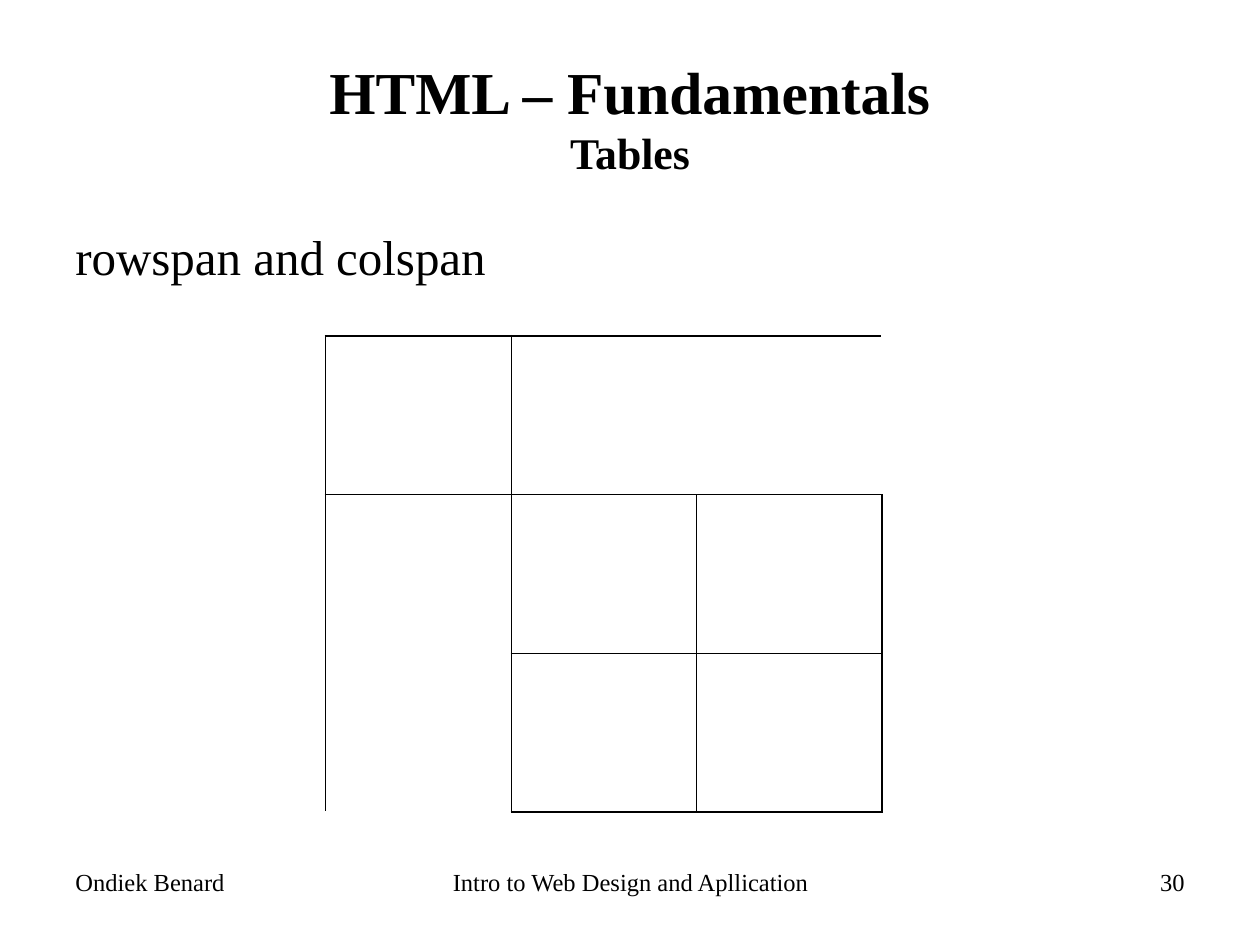
from lxml import etree
from pptx import Presentation
from pptx import util as u
from pptx.dml.color import RGBColor
from pptx.enum import text
from pptx.oxml import ns

FONT = "Times New Roman"
BLACK = "000000"
ALIGN = text.PP_ALIGN


def style(font, size, colour=BLACK, bold=False):
    font.name, font.size, font.bold = FONT, u.Pt(size), bold
    font.color.rgb = RGBColor.from_string(colour)


def add_text(page, wording, left, top, width, height, size, align=ALIGN.LEFT):
    box = page.shapes.add_textbox(u.Cm(left), u.Cm(top), u.Cm(width), u.Cm(height))
    box.text_frame.word_wrap = True
    para = box.text_frame.paragraphs[0]
    para.alignment = align
    para.add_run().text = wording
    style(para.font, size)
    return box, para


deck = Presentation()
deck.slide_width, deck.slide_height = u.Cm(25.4), u.Cm(19.05)
page = deck.slides.add_slide(deck.slide_layouts[6])

# Title with a smaller second line
title, para = add_text(page, "HTML – Fundamentals", 1.27, 0.76, 22.86, 3.18, 34, ALIGN.CENTER)
title.text_frame.vertical_anchor = text.MSO_ANCHOR.MIDDLE
para.font.bold = True
para.add_line_break()
span = para.add_run()
span.text = "Tables"
span.font.size = u.Pt(25)

# Topic
topic, para = add_text(page, "rowspan and colspan", 1.27, 4.45, 11.23, 12.57, 28)
para.space_before = u.Pt(7)

# Table: each region is row, column, rowspan, colspan
SIZE = 3
regions = [(0, 0, 1, 1), (0, 1, 1, 2), (1, 0, 2, 1),
           (1, 1, 1, 1), (1, 2, 1, 1), (2, 1, 1, 1), (2, 2, 1, 1)]
table = page.shapes.add_table(SIZE, SIZE, u.Cm(6.56), u.Cm(6.77),
                              u.Cm(11.22), u.Cm(9.6)).table
table.first_row = table.horz_banding = False
for column in table.columns:
    column.width = u.Cm(3.74)
for row in table.rows:
    row.height = u.Cm(3.2)

for top, left, rowspan, colspan in regions:
    bottom, right = top + rowspan, left + colspan
    if rowspan * colspan > 1:
        table.cell(top, left).merge(table.cell(bottom - 1, right - 1))
    for r in range(top, bottom):
        for c in range(left, right):
            cell = table.cell(r, c)
            props = cell._tc.get_or_add_tcPr()
            # Thick lines on the table's rim, thin ones inside
            for side, edge, limit in (("L", c, left), ("R", c + 1, right),
                                      ("T", r, top), ("B", r + 1, bottom)):
                if edge != limit:
                    continue
                width = u.Pt(1.08 if edge in (0, SIZE) else 0.45)
                line = etree.SubElement(props, ns.qn("a:ln" + side), w=str(int(width)))
                fill = etree.SubElement(line, ns.qn("a:solidFill"))
                etree.SubElement(fill, ns.qn("a:srgbClr"), val=BLACK)
            cell.fill.background()

# Footer
for wording, left, width, align in (
        ("Ondiek Benard", 1.27, 5.92, ALIGN.LEFT),
        ("Intro to Web Design and Apllication", 8.69, 8.05, ALIGN.CENTER),
        ("30", 18.21, 5.92, ALIGN.RIGHT)):
    add_text(page, wording, left, 17.35, width, 1.27, 14, align)

deck.save("out.pptx")
